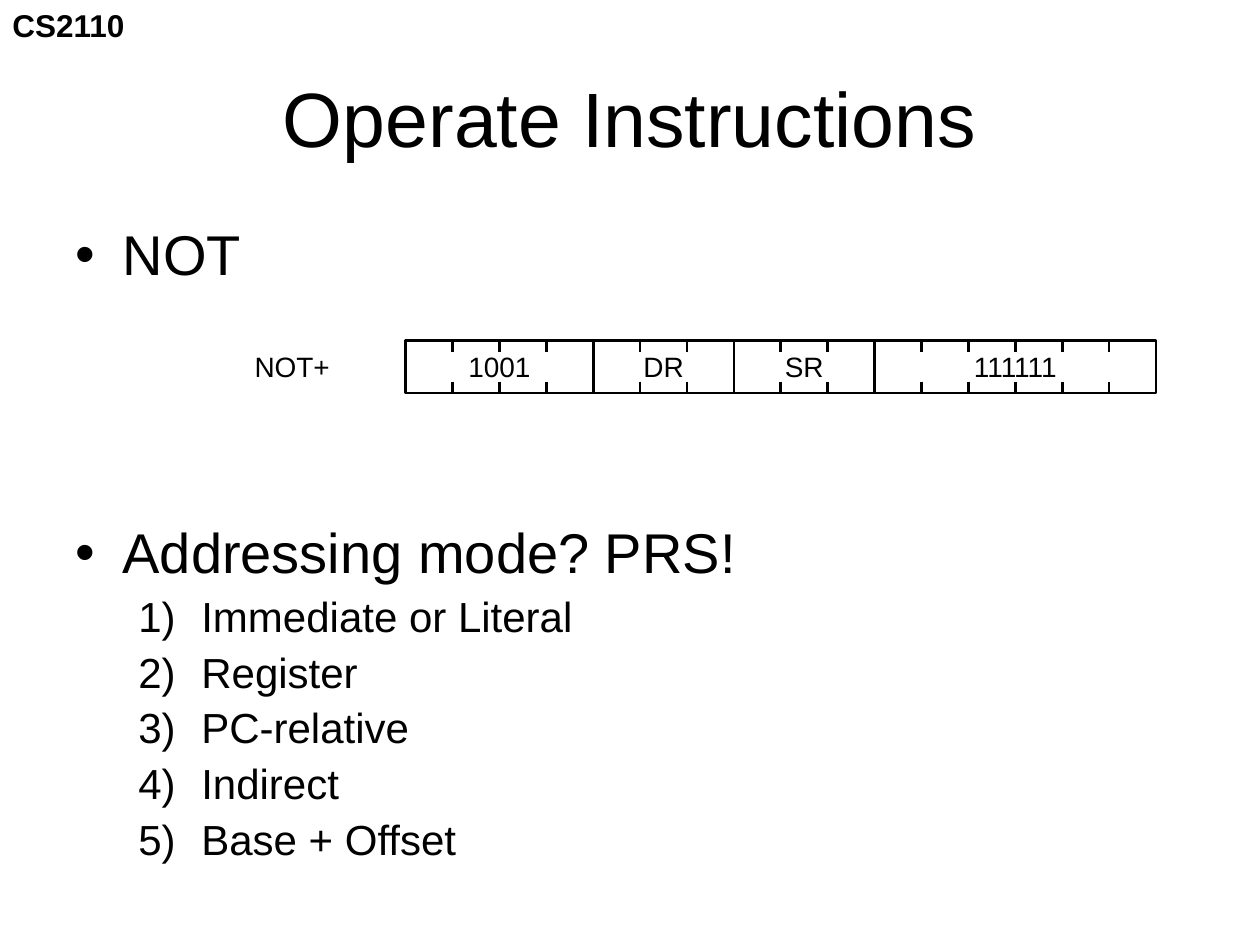
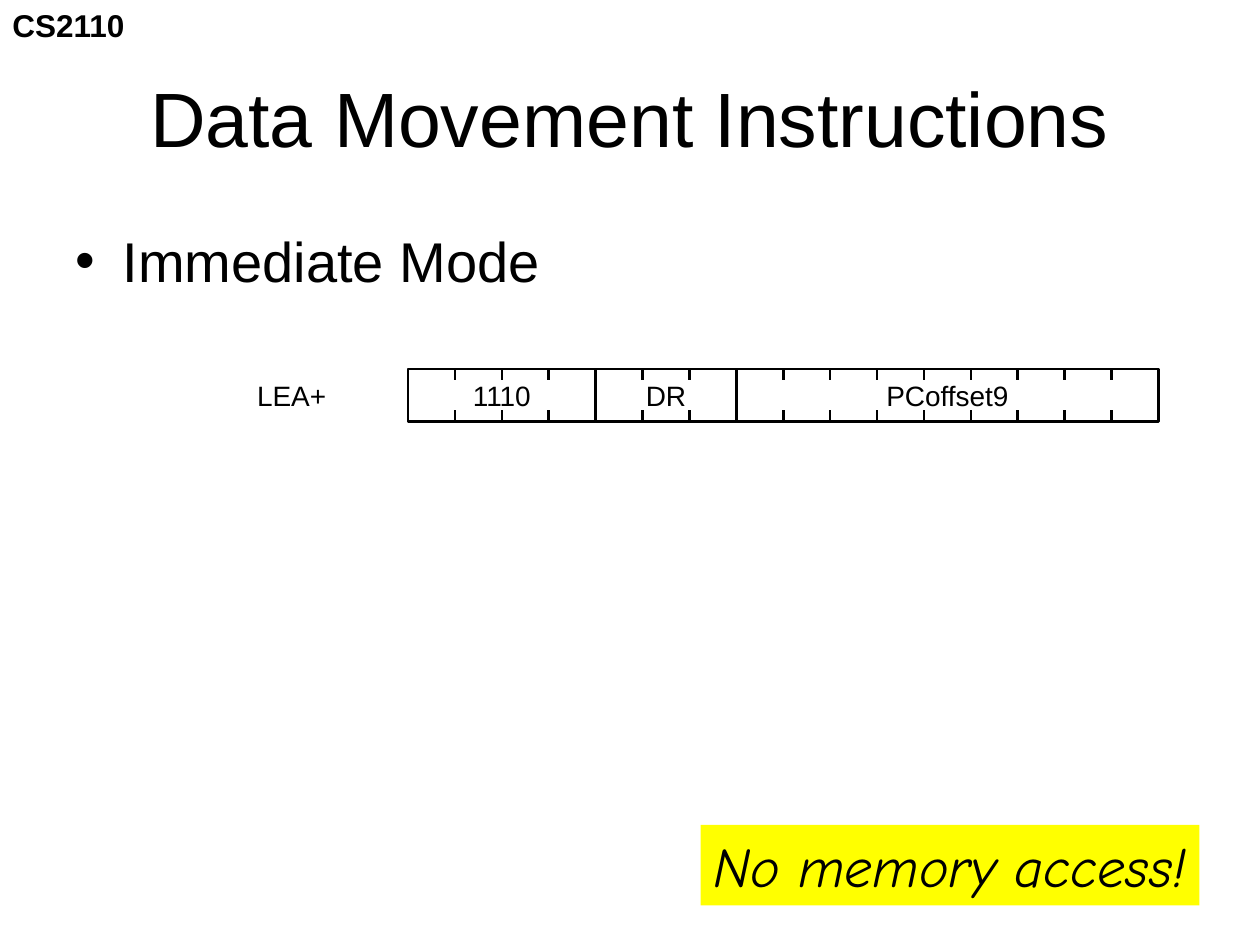
from dataclasses import dataclass

from lxml import etree
from pptx import Presentation
from pptx.dml.color import RGBColor
from pptx.enum.shapes import MSO_CONNECTOR, MSO_SHAPE
from pptx.enum.text import MSO_ANCHOR, PP_ALIGN
from pptx.oxml.ns import qn
from pptx.util import Pt

RECT = MSO_SHAPE.RECTANGLE
LINE = MSO_CONNECTOR.STRAIGHT
LEFT, CENTER = PP_ALIGN.LEFT, PP_ALIGN.CENTER
TOP, MIDDLE = MSO_ANCHOR.TOP, MSO_ANCHOR.MIDDLE

BLACK, YELLOW = "000000", "FFFF00"
SANS, COMIC = "Arial", "Comic Neue"
BIT = 26.8      # width of one bit in an instruction word
HIGH = 30.24    # height of an instruction word
TICK = 6.5
STROKE = 1.5


@dataclass
class Field:
    text: str
    bits: int
    wide: float     # width of the label


@dataclass
class Word:
    name: str
    wide: float     # width of the name
    left: float
    top: float
    fields: list[Field]


@dataclass
class Level:
    size: float
    margin: float
    indent: float
    before: float
    mark: tuple[str, str, str]     # bullet tag, attribute, value


@dataclass
class Item:
    text: str
    level: int = 0
    gap: float = 0      # extra space above


LEVELS = [
    Level(32, 27, -27, 8, ("a:buChar", "char", "•")),
    Level(24, 72, -36, 6, ("a:buAutoNum", "type", "arabicParenR")),
]


def color(code: str) -> RGBColor:
    return RGBColor.from_string(code)


def style(par, size: float, font: str = SANS, bold: bool = False,
          italic: bool = False) -> None:
    for run in par.runs:
        run.font.size = Pt(size)
        run.font.name = font
        run.font.bold = bold
        run.font.italic = italic
        run.font.color.rgb = color(BLACK)


def add_text(shapes, text: str, left: float, top: float, wide: float,
             high: float, size: float, align=LEFT, anchor=TOP,
             wrap: bool = False, bold: bool = False) -> None:
    box = shapes.add_textbox(Pt(left), Pt(top), Pt(wide), Pt(high))
    frame = box.text_frame
    frame.text = text
    frame.word_wrap = wrap
    frame.vertical_anchor = anchor
    par = frame.paragraphs[0]
    par.alignment = align
    style(par, size, bold=bold)


def add_slide(deck, title: str):
    """Add a slide with the course tag and a title."""
    shapes = deck.slides.add_slide(deck.slide_layouts[6]).shapes
    add_text(shapes, "CS2110", 0, 0, 79.2, 28.8, 18, bold=True)
    add_text(shapes, title, 36, 21.6, 648, 90, 44, CENTER, MIDDLE, wrap=True)
    return shapes


def add_list(shapes, items: list[Item], high: float, pitch: float) -> None:
    box = shapes.add_textbox(Pt(36), Pt(126), Pt(648), Pt(high))
    frame = box.text_frame
    frame.word_wrap = True
    frame.text = "\n".join(item.text for item in items)
    for par, item in zip(frame.paragraphs, items):
        level = LEVELS[item.level]
        par.level = item.level
        par.line_spacing = pitch
        par.space_before = Pt(level.before + item.gap)
        style(par, level.size)
        props = par._p.get_or_add_pPr()
        props.set("marL", str(Pt(level.margin)))
        props.set("indent", str(Pt(level.indent)))
        etree.SubElement(props, qn("a:buFont")).set("typeface", SANS)
        tag, key, value = level.mark
        etree.SubElement(props, qn(tag)).set(key, value)


def add_tick(shapes, x: float, top: float):
    tick = shapes.add_connector(LINE, Pt(x), Pt(top), Pt(x), Pt(top + TICK))
    tick.line.color.rgb = color(BLACK)
    tick.line.width = Pt(STROKE)
    etree.SubElement(tick._element.spPr, qn("a:effectLst"))
    return tick


def add_field(shapes, field: Field, left: float, top: float) -> None:
    """Draw a framed field with a pair of ticks between its bits."""
    wide = field.bits * BIT
    frame = shapes.add_shape(RECT, Pt(left), Pt(top), Pt(wide), Pt(HIGH))
    frame.shadow.inherit = False
    frame.fill.background()
    frame.line.color.rgb = color(BLACK)
    frame.line.width = Pt(STROKE)
    for bit in range(1, field.bits):
        x = left + bit * BIT
        upper = add_tick(shapes, x, top)
        lower = add_tick(shapes, x, top + HIGH - TICK)
        if bit * 2 == field.bits:
            upper.begin_connect(frame, 0)
            lower.end_connect(frame, 2)
    add_text(shapes, field.text, left + (wide - field.wide) / 2, top + 1.8,
             field.wide, 26.64, 16, CENTER)


def add_word(shapes, word: Word) -> None:
    """Draw an instruction word: its name, then its fields side by side."""
    group = shapes.add_group_shape().shapes
    add_text(group, word.name, word.left - 93.4, word.top + 1.8,
             word.wide, 26.64, 16)
    left = word.left
    for field in word.fields:
        add_field(group, field, left, word.top)
        left += field.bits * BIT


def add_note(shapes, text: str) -> None:
    note = shapes.add_shape(RECT, Pt(400.4), Pt(471.4), Pt(285), Pt(46))
    note.shadow.inherit = False
    note.fill.solid()
    note.fill.fore_color.rgb = color(YELLOW)
    note.line.fill.background()
    frame = note.text_frame
    frame.text = text
    frame.word_wrap = False
    frame.vertical_anchor = TOP
    par = frame.paragraphs[0]
    par.alignment = LEFT
    style(par, 32, COMIC, italic=True)


def main() -> None:
    deck = Presentation()
    deck.slide_width, deck.slide_height = Pt(720), Pt(540)

    shapes = add_slide(deck, "Operate Instructions")
    modes = ["Immediate or Literal", "Register", "PC-relative", "Indirect",
             "Base + Offset"]
    items = [Item("NOT"), Item("Addressing mode? PRS!", gap=127.8)]
    items += [Item(mode, 1) for mode in modes]
    add_list(shapes, items, 382.3, 0.9)
    add_word(shapes, Word("NOT+", 62, 231.8, 194.4, [
        Field("1001", 4, 52), Field("DR", 3, 40),
        Field("SR", 3, 40), Field("111111", 6, 70)]))

    shapes = add_slide(deck, "Data Movement Instructions")
    add_list(shapes, [Item("Immediate Mode")], 401.8, 1.0)
    add_word(shapes, Word("LEA+", 60, 233.2, 210.8, [
        Field("1110", 4, 52), Field("DR", 3, 40),
        Field("PCoffset9", 9, 88)]))
    add_note(shapes, "No memory access!")

    deck.save("out.pptx")


if __name__ == "__main__":
    main()
